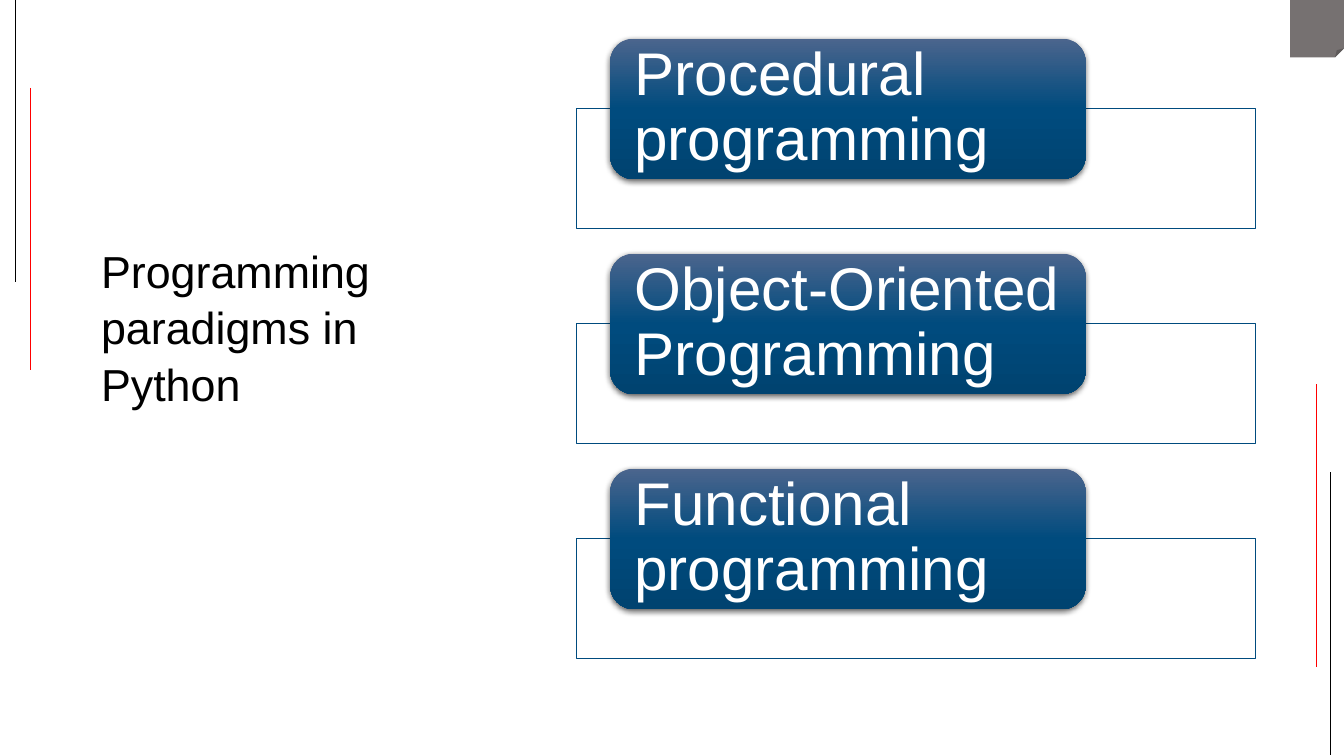
from copy import deepcopy

from lxml import etree
from pptx import Presentation
from pptx.dml.color import RGBColor
from pptx.enum import shapes as kinds, text as txt
from pptx.oxml.ns import qn
from pptx.util import Pt

NAVY = "004B7E"
GRADIENT = [(0, "4B658D"), (0.5, NAVY), (1, "004370")]
PARADIGMS = ["Procedural programming", "Object-Oriented Programming",
             "Functional programming"]


def color(hex_code):
    return RGBColor.from_string(hex_code)


def write(shape, content, size, hex_code, anchor, spacing, inset_x, inset_y):
    frame = shape.text_frame
    frame.word_wrap = True
    frame.auto_size = txt.MSO_AUTO_SIZE.NONE
    frame.vertical_anchor = anchor
    frame.margin_left = frame.margin_right = Pt(inset_x)
    frame.margin_top = frame.margin_bottom = Pt(inset_y)
    paragraph = frame.paragraphs[0]
    paragraph.alignment = txt.PP_ALIGN.LEFT
    paragraph.line_spacing = spacing
    run = paragraph.add_run()
    run.text = content
    run.font.name = "Arial"
    run.font.size = Pt(size)
    run.font.color.rgb = color(hex_code)


def add_block(slide, kind, left, top, width, height):
    block = slide.shapes.add_shape(kind, Pt(left), Pt(top), Pt(width), Pt(height))
    block.shadow.inherit = False
    block.line.fill.background()
    return block


def add_rule(slide, x, top, height, hex_code):
    rule = slide.shapes.add_connector(
        kinds.MSO_CONNECTOR.STRAIGHT, Pt(x), Pt(top), Pt(x), Pt(top + height))
    rule.line.color.rgb = color(hex_code)
    rule.line.width = Pt(0.5)
    etree.SubElement(rule._element.spPr, qn("a:effectLst"))


def add_decoration(slide, width):
    # Folded page corner
    corner = add_block(slide, kinds.MSO_SHAPE.FOLDED_CORNER, width - 38.4, 0, 38.4, 41)
    corner.fill.solid()
    corner.fill.fore_color.rgb = color("767171")
    # Paired margin rules
    for x, top, hex_code in [(11.2, 0, "000000"), (21.8, 62.8, "FF0000"),
                             (950.5, 337.5, "000000"), (940.2, 274.5, "FF0000")]:
        add_rule(slide, x, top, 201.6, hex_code)


def add_title(slide, left, top, width, height):
    title = slide.shapes.title
    title.left, title.top = Pt(left), Pt(top)
    title.width, title.height = Pt(width), Pt(height)
    write(title, "Programming paradigms in Python", 32, "000000",
          txt.MSO_ANCHOR.BOTTOM, spacing=1.05, inset_x=7.2, inset_y=3.6)


def fill_gradient(shape):
    shape.fill.gradient()
    shape.fill.gradient_angle = 270
    stop_list = shape._element.spPr.find(".//" + qn("a:gsLst"))
    stop_list.append(deepcopy(stop_list[0]))
    for stop, (position, hex_code) in zip(shape.fill.gradient_stops, GRADIENT):
        stop.position = position
        stop.color.rgb = color(hex_code)


def add_soft_shadow(shape):
    effects = shape._element.spPr.find(qn("a:effectLst"))
    shadow = etree.SubElement(
        effects, qn("a:outerShdw"), blurRad=str(Pt(4.5)), dist=str(Pt(1.5)),
        dir="5400000", algn="ctr", rotWithShape="0")
    black = etree.SubElement(shadow, qn("a:srgbClr"), val="000000")
    etree.SubElement(black, qn("a:alpha"), val="63000")


def add_paradigm(slide, name, left, top, width):
    # Outlined panel behind the label
    panel = add_block(slide, kinds.MSO_SHAPE.RECTANGLE, left, top + 50, width, 85.6)
    panel.fill.solid()
    panel.fill.fore_color.rgb = color("FFFFFF")
    tint = panel._element.spPr.find(qn("a:solidFill"))[0]
    etree.SubElement(tint, qn("a:alpha"), val="90000")
    panel.line.color.rgb = color(NAVY)
    panel.line.width = Pt(0.5)
    # Label, 70 % of the panel width
    label = add_block(slide, kinds.MSO_SHAPE.ROUNDED_RECTANGLE,
                      left + width * 0.05, top, width * 0.7, 100.3)
    fill_gradient(label)
    add_soft_shadow(label)
    write(label, name, 43, "FFFFFF", txt.MSO_ANCHOR.MIDDLE,
          spacing=0.9, inset_x=12.4, inset_y=0)


def add_paradigm_list(slide, left, top, width, pitch):
    for row, name in enumerate(PARADIGMS):
        add_paradigm(slide, name, left, top + row * pitch, width)


def main():
    deck = Presentation()
    deck.slide_width, deck.slide_height = Pt(960), Pt(540)
    slide = deck.slides.add_slide(deck.slide_layouts[5])
    add_decoration(slide, 960)
    add_title(slide, 65, 10.8, 253.4, 285.8)
    add_paradigm_list(slide, 411.7, 27.6, 485, 153.6)
    deck.save("out.pptx")


if __name__ == "__main__":
    main()
